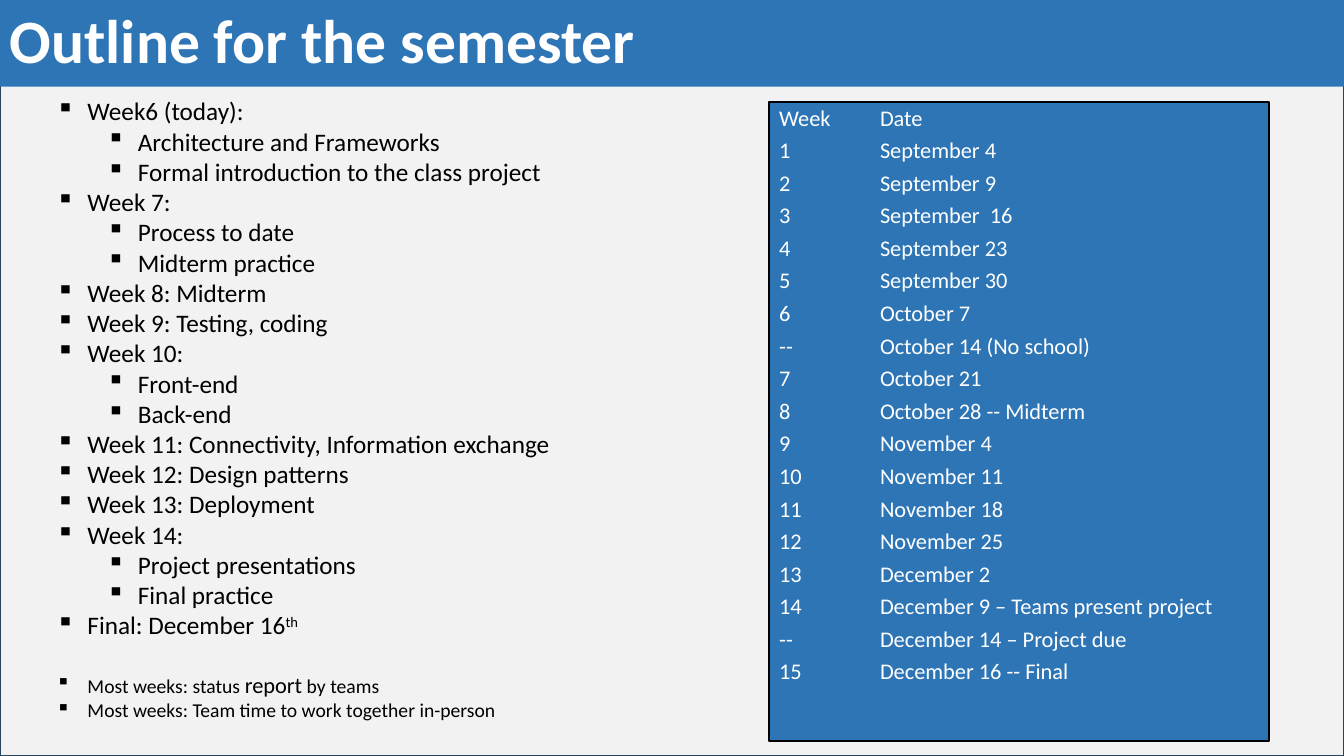
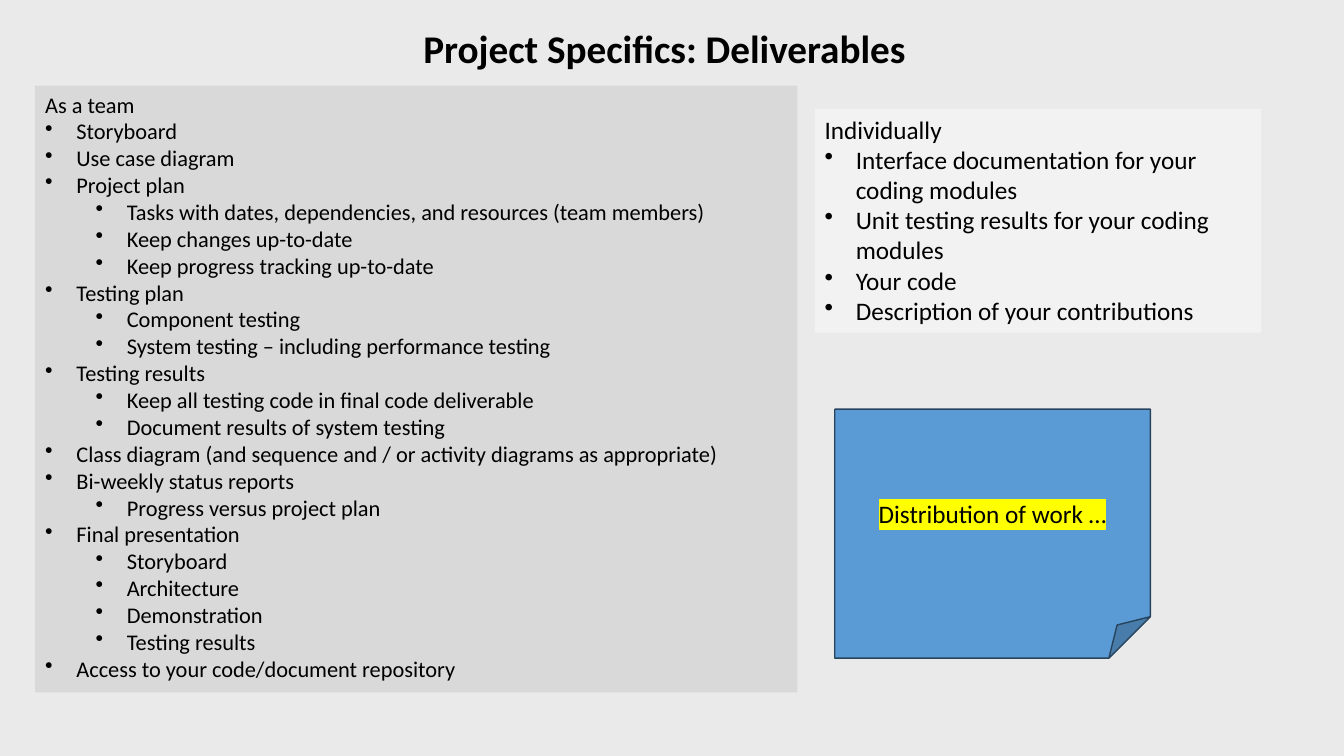
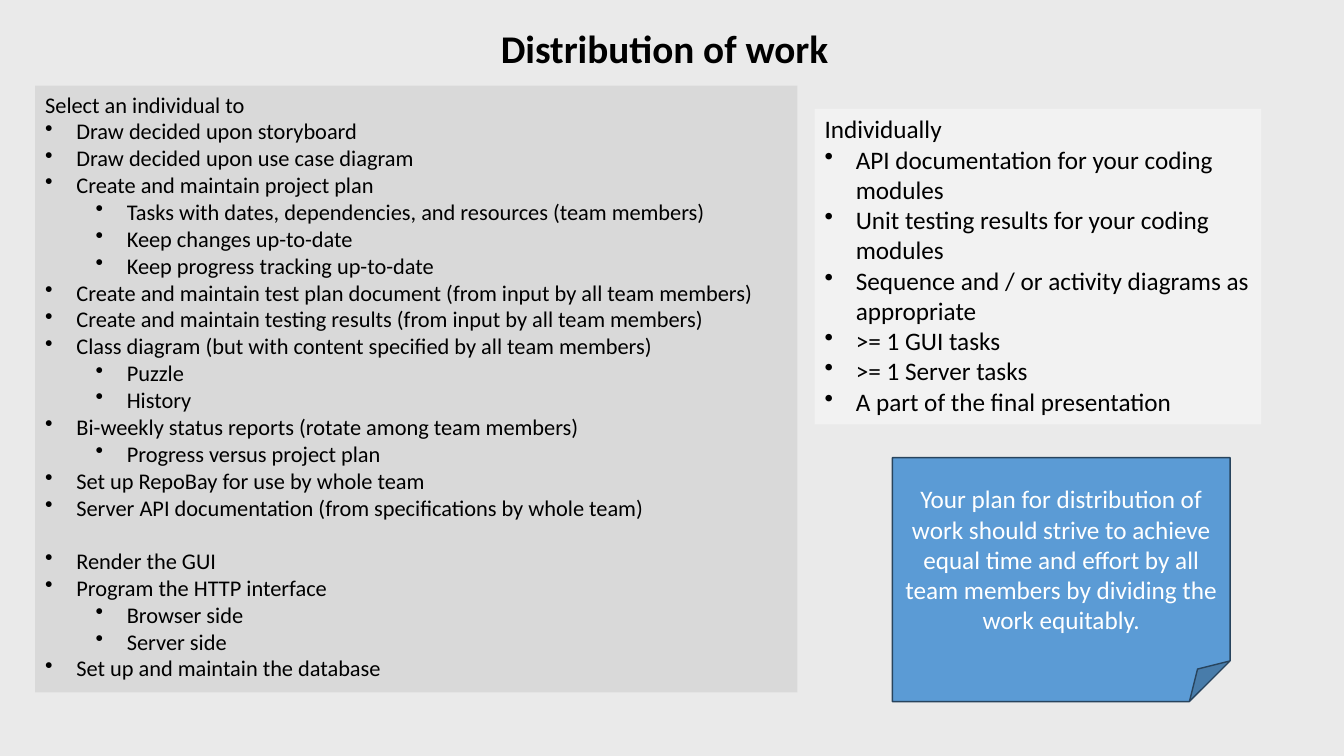
from dataclasses import dataclass
from typing import NamedTuple, Optional

from lxml.etree import SubElement
from pptx import Presentation
from pptx.dml.color import RGBColor
from pptx.enum.shapes import MSO_SHAPE
from pptx.enum.text import MSO_ANCHOR, PP_ALIGN
from pptx.oxml.ns import qn
from pptx.util import Inches, Pt

# Shared look
BLACK = RGBColor(0, 0, 0)
WHITE = RGBColor(255, 255, 255)
BLUE = RGBColor(0x2E, 0x75, 0xB6)
SKY = RGBColor(0x5B, 0x9B, 0xD5)
NAVY = RGBColor(0x28, 0x44, 0x5D)
PALE = RGBColor(0xF2, 0xF2, 0xF2)
MIST = RGBColor(0xEA, 0xEA, 0xEA)
GRAY = RGBColor(0xD9, 0xD9, 0xD9)
FONT = "Calibri"
WIDE, HIGH = 13.33, 7.5
DENT, STEP = 0.31, 0.5


class Run(NamedTuple):
    text: str
    size: int = 0
    base: int = 0


class Item(NamedTuple):
    runs: tuple
    level: int = 0
    gap: int = 0


@dataclass
class Box:
    left: float
    top: float
    width: float
    height: float
    fill: Optional[RGBColor] = None
    line: Optional[RGBColor] = None
    weight: float = 1
    kind: MSO_SHAPE = MSO_SHAPE.RECTANGLE
    anchor: MSO_ANCHOR = MSO_ANCHOR.TOP


@dataclass
class Style:
    size: int
    color: RGBColor = BLACK
    bold: bool = False
    align: PP_ALIGN = PP_ALIGN.LEFT
    spacing: float = 1
    after: int = 0
    bullet: str = "•"
    tab: float = 0
    mark: str = ""


# Text levels: plain line, bullet, nested bullet
def plain(*texts: str) -> list:
    return [Item((Run(text),), -1) for text in texts]


def top(*texts: str, gap: int = 0) -> list:
    return [Item((Run(text),), 0, gap if not i else 0)
            for i, text in enumerate(texts)]


def sub(*texts: str) -> list:
    return [Item((Run(text),), 1) for text in texts]


def write(frame, items: list, style: Style) -> None:
    for i, item in enumerate(items):
        para = frame.add_paragraph() if i else frame.paragraphs[0]
        props = para._p.get_or_add_pPr()
        if item.level >= 0:
            props.set("marL", str(Inches(DENT + STEP * item.level)))
            props.set("indent", str(-Inches(DENT)))
            SubElement(props, qn("a:buChar")).set("char", style.bullet)
        if style.tab:
            stops = SubElement(props, qn("a:tabLst"))
            stop = SubElement(stops, qn("a:tab"))
            stop.set("pos", str(Inches(style.tab)))
            stop.set("algn", "l")
        form = {"level": max(item.level, 0), "alignment": style.align,
                "line_spacing": style.spacing,
                "space_before": Pt(item.gap), "space_after": Pt(style.after)}
        for key, value in form.items():
            setattr(para, key, value)
        for part in item.runs:
            run = para.add_run()
            run.text = part.text
            form = {"name": FONT, "size": Pt(part.size or style.size),
                    "bold": style.bold}
            for key, value in form.items():
                setattr(run.font, key, value)
            run.font.color.rgb = style.color
            rpr = run._r.get_or_add_rPr()
            if part.base:
                rpr.set("baseline", str(part.base * 1000))
            if style.mark:
                glow = SubElement(rpr, qn("a:highlight"))
                SubElement(glow, qn("a:srgbClr")).set("val", style.mark)
                rpr.find(qn("a:solidFill")).addnext(glow)


def draw(slide, box: Box, items: Optional[list] = None,
         style: Optional[Style] = None) -> None:
    area = [Inches(n) for n in (box.left, box.top, box.width, box.height)]
    if box.fill is None:
        shape = slide.shapes.add_textbox(*area)
    else:
        shape = slide.shapes.add_shape(box.kind, *area)
        shape.shadow.inherit = False
        shape.fill.solid()
        shape.fill.fore_color.rgb = box.fill
        if box.line is None:
            shape.line.fill.background()
        else:
            shape.line.color.rgb = box.line
            shape.line.width = Pt(box.weight)
    if items:
        shape.text_frame.word_wrap = True
        shape.text_frame.vertical_anchor = box.anchor
        write(shape.text_frame, items, style)


def note(left: float, up: float, width: float, height: float) -> Box:
    return Box(left, up, width, height, SKY, NAVY,
               kind=MSO_SHAPE.FOLDED_CORNER, anchor=MSO_ANCHOR.MIDDLE)


# Semester outline
WEEKS = [
    *top("Week6 (today):"),
    *sub("Architecture and Frameworks",
         "Formal introduction to the class project"),
    *top("Week 7:"),
    *sub("Process to date", "Midterm practice"),
    *top("Week 8: Midterm", "Week 9: Testing, coding", "Week 10:"),
    *sub("Front-end", "Back-end"),
    *top("Week 11: Connectivity, Information exchange",
         "Week 12: Design patterns", "Week 13: Deployment", "Week 14:"),
    *sub("Project presentations", "Final practice"),
    Item((Run("Final: December 16"), Run("th", base=30))),
    Item((Run("Most weeks: status ", 14), Run("report", 16),
          Run(" by teams", 14)), gap=22),
    Item((Run("Most weeks: Team time to work together in-person", 14),)),
]
DATES = [
    ("Week", "Date"), ("1", "September 4"), ("2", "September 9"),
    ("3", "September  16"), ("4", "September 23"), ("5", "September 30"),
    ("6", "October 7"), ("--", "October 14 (No school)"),
    ("7", "October 21"), ("8", "October 28 -- Midterm"),
    ("9", "November 4"), ("10", "November 11"), ("11", "November 18"),
    ("12", "November 25"), ("13", "December 2"),
    ("14", "December 9 – Teams present project"),
    ("--", "December 14 – Project due"), ("15", "December 16 -- Final"),
]

# Project deliverables
TASKS = sub("Tasks with dates, dependencies, and resources (team members)",
            "Keep changes up-to-date", "Keep progress tracking up-to-date")
TEAM = [
    *plain("As a team"),
    *top("Storyboard", "Use case diagram", "Project plan"),
    *TASKS,
    *top("Testing plan"),
    *sub("Component testing",
         "System testing – including performance testing"),
    *top("Testing results"),
    *sub("Keep all testing code in final code deliverable",
         "Document results of system testing"),
    *top("Class diagram (and sequence and / or activity diagrams"
         " as appropriate)", "Bi-weekly status reports"),
    *sub("Progress versus project plan"),
    *top("Final presentation"),
    *sub("Storyboard", "Architecture", "Demonstration", "Testing results"),
    *top("Access to your code/document repository"),
]
OWN = plain("Individually") + top(
    "Interface documentation for your coding modules",
    "Unit testing results for your coding modules",
    "Your code", "Description of your contributions")

# Distribution of work
ROLES = [
    *plain("Select an individual to"),
    *top("Draw decided upon storyboard", "Draw decided upon use case diagram",
         "Create and maintain project plan"),
    *TASKS,
    *top("Create and maintain test plan document"
         " (from input by all team members)",
         "Create and maintain testing results"
         " (from input by all team members)",
         "Class diagram (but with content specified by all team members)"),
    *sub("Puzzle", "History"),
    *top("Bi-weekly status reports (rotate among team members)"),
    *sub("Progress versus project plan"),
    *top("Set up RepoBay for use by whole team",
         "Server API documentation (from specifications by whole team)"),
    *top("Render the GUI", "Program the HTTP interface", gap=19),
    *sub("Browser side", "Server side"),
    *top("Set up and maintain the database"),
]
SHARE = plain("Individually") + top(
    "API documentation for your coding modules",
    "Unit testing results for your coding modules",
    "Sequence and / or activity diagrams as appropriate",
    ">= 1 GUI tasks", ">= 1 Server tasks",
    "A part of the final presentation")
PLAN = ("Your plan for distribution of work should strive to achieve equal"
        " time and effort by all team members by dividing the work equitably.")


def outline(slide) -> None:
    draw(slide, Box(0, 0, WIDE, HIGH, PALE, NAVY))
    draw(slide, Box(0, 0, WIDE, 0.86, BLUE, anchor=MSO_ANCHOR.MIDDLE),
         plain("Outline for the semester"),
         Style(44, WHITE, bold=True, spacing=0.9))
    draw(slide, Box(0.46, 0.9, 7.16, 6.33), WEEKS, Style(18, bullet="▪"))
    draw(slide, Box(7.63, 1.01, 4.96, 6.34, BLUE, BLACK, 1.5),
         plain(*("\t".join(row) for row in DATES)),
         Style(16, WHITE, spacing=0.9, after=6, tab=1))


def duties(slide, title: str, team: list, own: list, height: float,
           memo: Box, text: str, style: Style) -> None:
    draw(slide, Box(0, 0, WIDE, HIGH, MIST))
    draw(slide, Box(2.89, 0.19, 7.4, 0.57), plain(title),
         Style(28, bold=True, align=PP_ALIGN.CENTER))
    draw(slide, Box(0.35, 0.85, 7.56, 6.02, GRAY), team, Style(16))
    draw(slide, Box(8.08, 1.08, 4.43, height, PALE), own, Style(18))
    draw(slide, memo, plain(text), style)


def main() -> None:
    deck = Presentation()
    deck.slide_width, deck.slide_height = Inches(WIDE), Inches(HIGH)
    first, second, third = (deck.slides.add_slide(deck.slide_layouts[6])
                            for _ in range(3))
    outline(first)
    duties(second, "Project Specifics: Deliverables", TEAM, OWN, 2.22,
           note(8.28, 4.06, 3.13, 2.47), "Distribution of work …",
           Style(18, align=PP_ALIGN.CENTER, mark="FFFF00"))
    duties(third, "Distribution of work", ROLES, SHARE, 3.13,
           note(8.85, 4.54, 3.35, 2.42), PLAN,
           Style(18, WHITE, align=PP_ALIGN.CENTER))
    deck.save("out.pptx")


if __name__ == "__main__":
    main()
